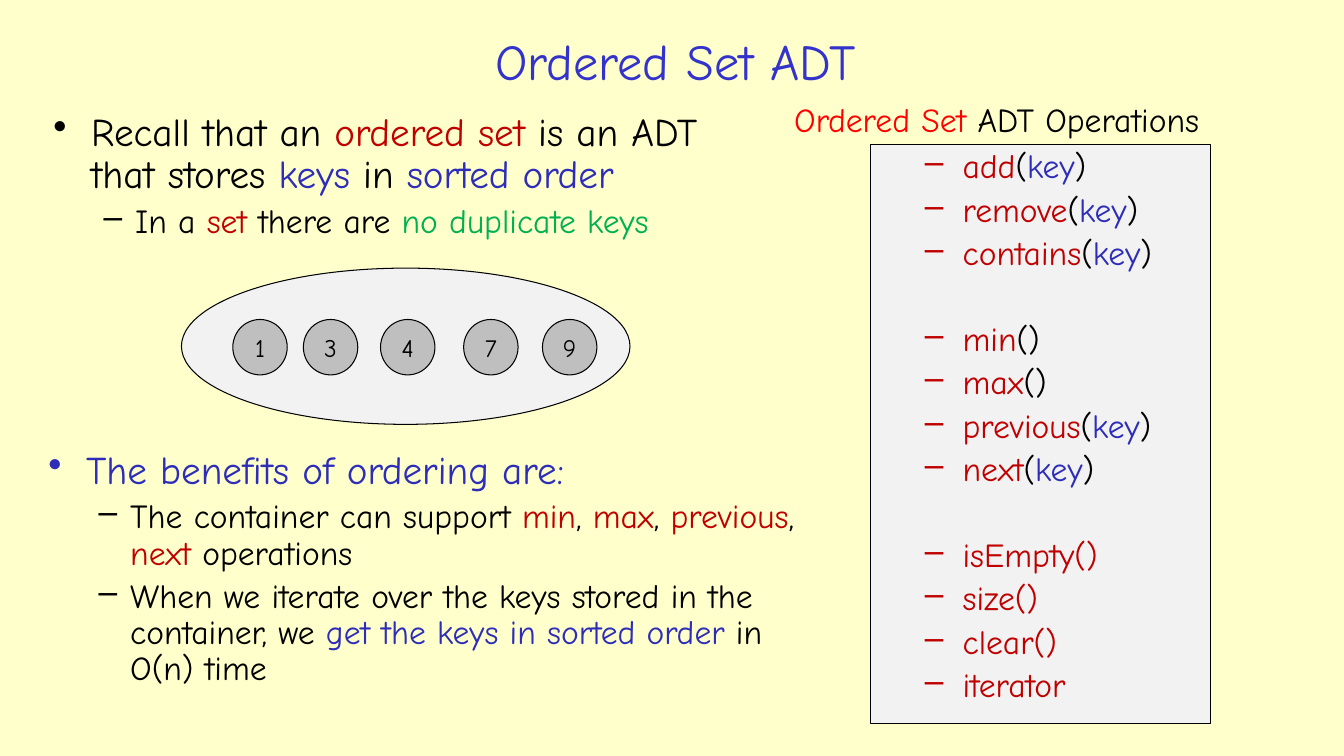
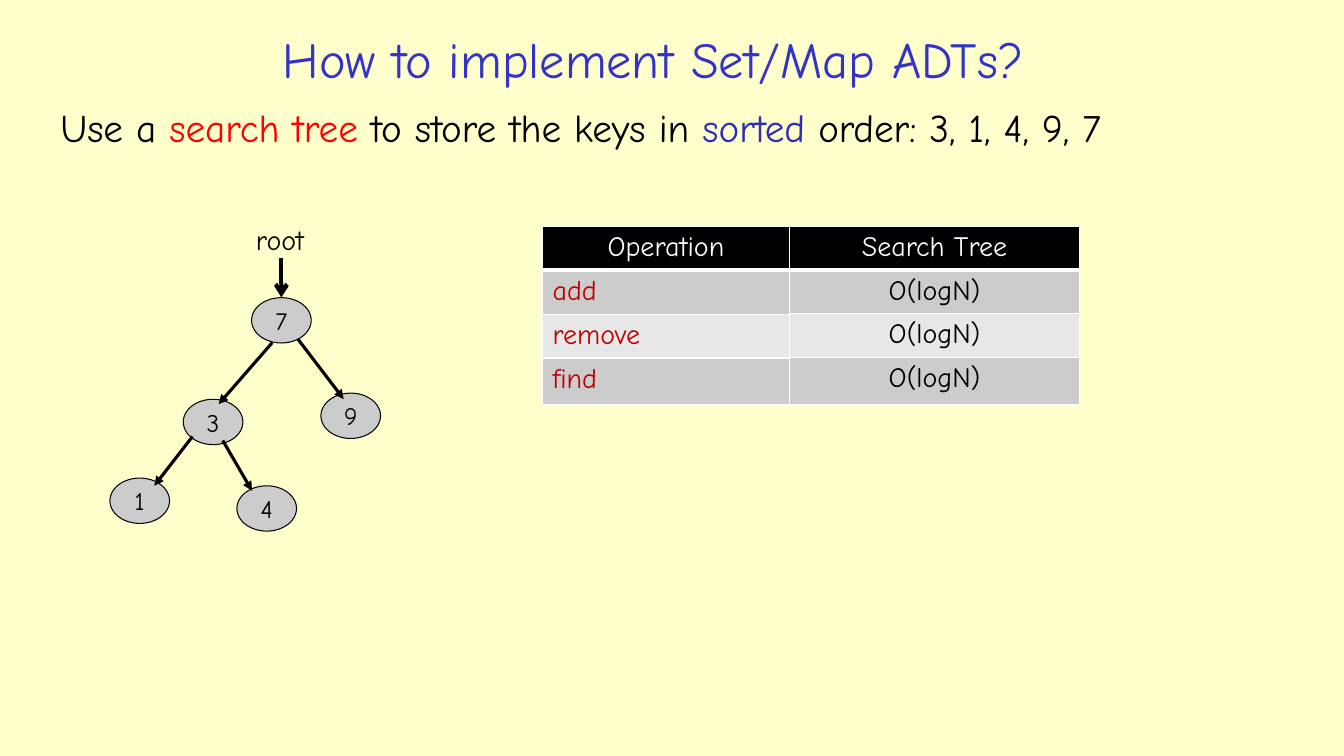
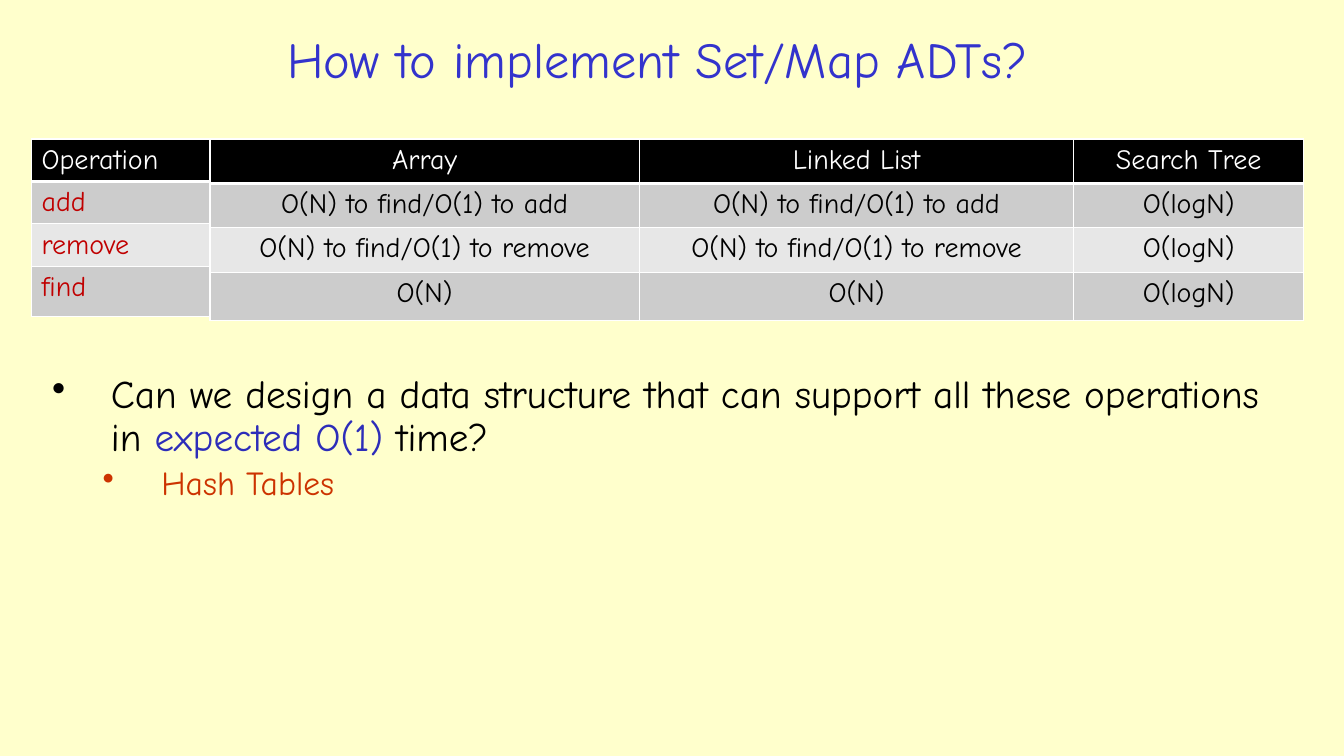
from itertools import accumulate

from pptx import Presentation
from pptx.dml.color import RGBColor
from pptx.enum.shapes import MSO_CONNECTOR, MSO_SHAPE
from pptx.enum.text import MSO_ANCHOR, MSO_AUTO_SIZE, PP_ALIGN
from pptx.oxml.ns import qn
from pptx.util import Pt
from lxml.etree import SubElement

FONT = "Comic Neue"
COLORS = {
    "background": "FFFFCC", "title": "3333CC", "black": "000000",
    "white": "FFFFFF", "crimson": "C00000", "red": "FF0000",
    "blue": "2D2DB9", "green": "00B050", "rust": "CC3300",
    "panel": "F2F2F2", "key": "BFBFBF", "node": "CCCCCC", "stripe": "E7E7E7",
}
BULLETS = {
    "main": dict(size=28, margin=27, hanging=27, bullet="•", before=6),
    "sub": dict(size=24, margin=58.5, hanging=22.5, bullet="–", before=5),
    "operation": dict(size=24, margin=58.5, hanging=27, bullet="–", before=5),
    "question": dict(size=28, margin=42, hanging=42, bullet="•", before=6),
    "answer": dict(size=24, margin=78, hanging=42, bullet="•", before=5),
}
GROUP_GAP = 35.7

RECALL = [
    ("main", [("Recall that an ", "black"), ("ordered set ", "crimson"),
              ("is an ADT that stores ", "black"), ("keys", "blue"),
              (" in ", "black"), ("sorted order", "blue")]),
    ("sub", [("In a ", "black"), ("set ", "crimson"),
             ("there are ", "black"), ("no duplicate keys", "green")]),
]
BENEFITS = [
    ("main", [("The benefits of ordering are:", "blue")]),
    ("sub", [("The container can support ", "black"), ("min", "crimson"),
             (", ", "black"), ("max", "crimson"), (", ", "black"),
             ("previous", "crimson"), (", ", "black"), ("next", "crimson"),
             (" operations", "black")]),
    ("sub", [("When we iterate over the keys stored in the container, we ", "black"),
             ("get the keys in sorted order", "blue"),
             (" in O(n) time", "black")]),
]
OPERATION_GROUPS = [
    [("add", "key"), ("remove", "key"), ("contains", "key")],
    [("min", ""), ("max", ""), ("previous", "key"), ("next", "key")],
    [("isEmpty()", None), ("size()", None), ("clear()", None), ("iterator", None)],
]
SET_KEYS = [("1", 166.3), ("3", 216.7), ("4", 271.8), ("7", 331.2), ("9", 387.5)]

SEARCH_TREE = [("Use a ", "black"), ("search tree", "red"),
               (" to store the keys in ", "black"), ("sorted ", "blue"),
               ("order: 3, 1, 4, 9, 7", "black")]
TREE_NODES = [("7", 179.7, 212.6), ("3", 130.9, 285.2), ("9", 229.2, 280.8),
              ("1", 78.5, 341.5), ("4", 169.2, 347)]
TREE_EDGES = [((194.4, 244.8), (156.2, 288.7)), ((213.1, 242.6), (245.5, 285.1)),
              ((137.5, 311.8), (110.2, 347)), ((159.1, 314.6), (180, 350.6))]

NAMES = ["Operation", "add", "remove", "find"]
LOGARITHMIC = ["Search Tree", "O(logN)", "O(logN)", "O(logN)"]
LINEAR = ["O(N) to find/O(1) to add", "O(N) to find/O(1) to remove", "O(N)"]
EVEN_ROWS = [31.7, 31.7, 31.7, 34.6]
TREE_COSTS = [
    dict(width=176.4, rows=[31.5, 31.5, 30.2, 33.1], cells=NAMES, header="center", body="left"),
    dict(width=207.4, rows=[30, 30, 30, 34], cells=LOGARITHMIC),
]
ALL_COSTS = [
    dict(width=127.5, rows=[30.3, 30.3, 30.3, 36], cells=NAMES, header="left", body="left"),
    dict(width=306.7, rows=EVEN_ROWS, cells=["Array"] + LINEAR),
    dict(width=310.3, rows=EVEN_ROWS, cells=["Linked List"] + LINEAR),
    dict(width=164.2, rows=EVEN_ROWS, cells=LOGARITHMIC),
]
QUESTION = [
    ("question", [("Can we design a data structure that can support all these operations in ", "black"),
                  ("expected O(1) ", "blue"), ("time?", "black")]),
    ("answer", [("Hash Tables", "rust")]),
]
ALIGNMENTS = {"left": PP_ALIGN.LEFT, "center": PP_ALIGN.CENTER}


def rgb(name):
    return RGBColor.from_string(COLORS[name])


def write(paragraph, runs, size=18, align="left", spacing=None, before=0,
          margin=0, hanging=0, bullet=None):
    if bullet:
        properties = paragraph._p.get_or_add_pPr()
        properties.set("marL", str(int(Pt(margin))))
        properties.set("indent", str(-int(Pt(hanging))))
        SubElement(properties, qn("a:buChar")).set("char", bullet)
    paragraph.alignment = ALIGNMENTS[align]
    paragraph.space_before = Pt(before)
    if spacing:
        paragraph.line_spacing = spacing
    for text, color in runs:
        run = paragraph.add_run()
        run.text = text
        run.font.name = FONT
        run.font.size = Pt(size)
        run.font.bold = False
        run.font.color.rgb = rgb(color)


def write_list(frame, items):
    for index, (style, runs, *gap) in enumerate(items):
        paragraph = frame.add_paragraph() if index else frame.paragraphs[0]
        options = dict(BULLETS[style], spacing=0.9)
        if gap:
            options["before"] = gap[0]
        if not index:
            options["before"] = 0
        write(paragraph, runs, **options)


def add_text_box(slide, left, top, width, height):
    frame = slide.shapes.add_textbox(Pt(left), Pt(top), Pt(width), Pt(height)).text_frame
    frame.word_wrap = True
    return frame


def add_outlined(slide, kind, left, top, width, height, fill):
    shape = slide.shapes.add_shape(kind, Pt(left), Pt(top), Pt(width), Pt(height))
    shape.shadow.inherit = False
    shape.fill.solid()
    shape.fill.fore_color.rgb = rgb(fill)
    shape.line.color.rgb = rgb("black")
    shape.line.width = Pt(0.75)
    return shape


def add_circle(slide, label, left, top, width, height, fill):
    frame = add_outlined(slide, MSO_SHAPE.OVAL, left, top, width, height, fill).text_frame
    frame.word_wrap = False
    frame.vertical_anchor = MSO_ANCHOR.MIDDLE
    write(frame.paragraphs[0], [(label, "black")], align="center")


def add_arrow(slide, start, end, width=2.25, head="triangle"):
    connector = slide.shapes.add_connector(
        MSO_CONNECTOR.STRAIGHT, *(Pt(value) for value in start + end))
    connector.line.color.rgb = rgb("black")
    connector.line.width = Pt(width)
    SubElement(connector.line._get_or_add_ln(), qn("a:tailEnd")).set("type", head)
    SubElement(connector._element.spPr, qn("a:effectLst"))


def add_border(cell, side, width):
    line = SubElement(cell._tc.get_or_add_tcPr(), qn(f"a:ln{side}"))
    line.set("w", str(int(Pt(width))))
    fill = SubElement(line, qn("a:solidFill"))
    SubElement(fill, qn("a:srgbClr")).set("val", COLORS["white"])


def add_cost_columns(slide, left, top, columns):
    offsets = accumulate([column["width"] for column in columns], initial=left)
    for column, offset in zip(columns, offsets):
        heights = column["rows"]
        table = slide.shapes.add_table(
            len(heights), 1, Pt(offset), Pt(top), Pt(column["width"]), Pt(sum(heights))).table
        table.first_row = False
        table.horz_banding = False
        for index, (height, text) in enumerate(zip(heights, column["cells"])):
            table.rows[index].height = Pt(height)
            cell = table.cell(index, 0)
            for side in "LRTB":
                add_border(cell, side, 3 if side == "B" and not index else 1)
            cell.fill.solid()
            if index == 0:
                fill, color, align = "black", "white", column.get("header", "center")
            else:
                fill = "node" if index % 2 else "stripe"
                color = "crimson" if column["cells"] is NAMES else "black"
                align = column.get("body", "center")
            cell.fill.fore_color.rgb = rgb(fill)
            write(cell.text_frame.paragraphs[0], [(text, color)], size=20, align=align)


def add_slide(presentation, title, left, top, width, height):
    slide = presentation.slides.add_slide(presentation.slide_layouts[5])
    shape = slide.shapes.title
    shape.left, shape.top, shape.width, shape.height = Pt(left), Pt(top), Pt(width), Pt(height)
    frame = shape.text_frame
    frame.word_wrap = True
    frame.auto_size = MSO_AUTO_SIZE.NONE
    frame.vertical_anchor = MSO_ANCHOR.MIDDLE
    write(frame.paragraphs[0], [(title, "title")], size=36, align="center")
    return slide


def operation_items():
    items = []
    for group in OPERATION_GROUPS:
        for index, (name, argument) in enumerate(group):
            runs = [(name, "crimson")]
            if argument is not None:
                parts = [("(", "black"), (argument, "blue"), (")", "black")]
                runs += parts if argument else [("()", "black")]
            before = GROUP_GAP if index == 0 else BULLETS["operation"]["before"]
            items.append(("operation", runs, before))
    return items


def build_ordered_set(presentation):
    slide = add_slide(presentation, "Ordered Set ADT", 139, 18.7, 686.9, 48.2)
    write_list(add_text_box(slide, 31, 77, 524.2, 114.5), RECALL)
    add_outlined(slide, MSO_SHAPE.OVAL, 129.6, 191.5, 320.4, 111.6, "panel")
    for label, left in SET_KEYS:
        add_circle(slide, label, left, 228.2, 38.9, 39.6, "key")
    heading = add_text_box(slide, 560.2, 67, 352, 36)
    write(heading.paragraphs[0],
          [("Ordered Set ", "red"), ("ADT Operations", "black")], size=24)
    panel = add_outlined(slide, MSO_SHAPE.RECTANGLE, 622, 103.5, 242.6, 413.3, "panel")
    panel.text_frame.word_wrap = True
    panel.text_frame.vertical_anchor = MSO_ANCHOR.TOP
    write_list(panel.text_frame, operation_items())
    write_list(add_text_box(slide, 27.4, 318.2, 568, 205.2), BENEFITS)


def build_search_tree(presentation):
    slide = add_slide(presentation, "How to implement Set/Map ADTs?", 43.9, 19.4, 845.3, 44.6)
    statement = add_text_box(slide, 36, 74.2, 866.9, 50.4)
    write(statement.paragraphs[0], SEARCH_TREE, size=28, spacing=0.9)
    add_cost_columns(slide, 387.5, 161.5, TREE_COSTS)
    for label, left, top in TREE_NODES:
        add_circle(slide, label, left, top, 42.6, 32.4, "node")
    for start, end in TREE_EDGES:
        add_arrow(slide, start, end)
    add_arrow(slide, (201, 184.3), (201, 212.4), width=3, head="arrow")
    root = add_text_box(slide, 175.7, 155.5, 54.7, 31.7)
    write(root.paragraphs[0], [("root", "black")], size=20)


def build_comparison(presentation):
    slide = add_slide(presentation, "How to implement Set/Map ADTs?", 51.8, 19.4, 835.9, 44.6)
    add_cost_columns(slide, 22.5, 99.3, ALL_COSTS)
    write_list(add_text_box(slide, 30.2, 264.2, 879.8, 135.4), QUESTION)


def main():
    presentation = Presentation()
    presentation.slide_width, presentation.slide_height = Pt(960), Pt(540)
    background = presentation.slide_master.background.fill
    background.solid()
    background.fore_color.rgb = rgb("background")
    build_ordered_set(presentation)
    build_search_tree(presentation)
    build_comparison(presentation)
    presentation.save("out.pptx")


if __name__ == "__main__":
    main()
